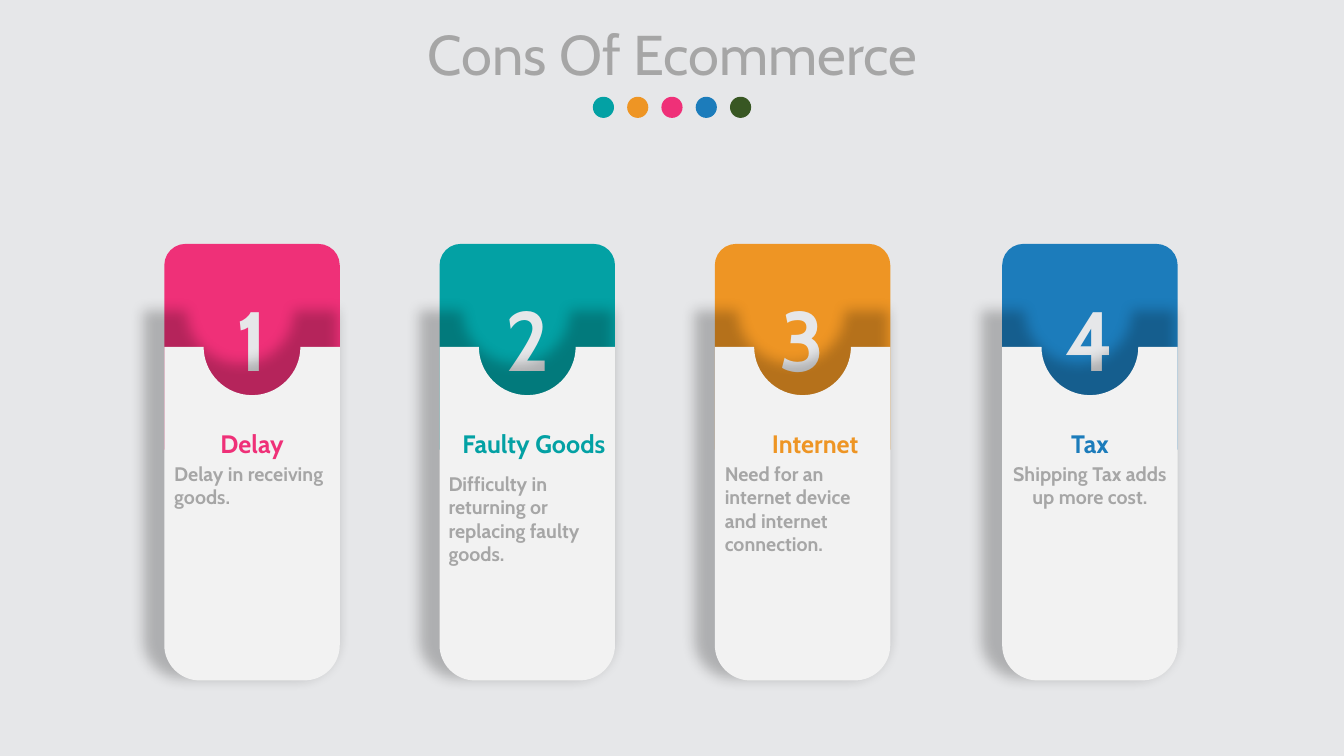
from dataclasses import dataclass

import pptx
import pptx.dml.color
import pptx.enum.shapes
import pptx.enum.text
import pptx.oxml
import pptx.oxml.ns
import pptx.util
from lxml import etree

Inches = pptx.util.Inches
RGBColor = pptx.dml.color.RGBColor
Shape = pptx.enum.shapes.MSO_SHAPE
Align = pptx.enum.text.PP_ALIGN
qn = pptx.oxml.ns.qn

BACKGROUND = RGBColor(0xE6, 0xE7, 0xE9)
PANEL = RGBColor(0xF2, 0xF2, 0xF2)
GREY = RGBColor(0xA6, 0xA6, 0xA6)
TEAL = RGBColor(0x03, 0xA1, 0xA4)
ORANGE = RGBColor(0xEE, 0x95, 0x24)
PINK = RGBColor(0xEF, 0x30, 0x78)
BLUE = RGBColor(0x1C, 0x7C, 0xBB)
GREEN = RGBColor(0x38, 0x57, 0x23)

CARD_WIDTH = 1.74
PANEL_TOP, PANEL_HEIGHT = 3.44, 3.31
NOTCH_RADIUS, CORNER_RADIUS = 0.48, 0.35
ARC_PULL = 0.55

PANEL_SHADOW = (
    '<a:effectLst %s><a:outerShdw blurRad="127000" dist="38100" dir="13500000" '
    'sx="110000" sy="110000" algn="br" rotWithShape="0"><a:srgbClr val="000000">'
    '<a:alpha val="23000"/></a:srgbClr></a:outerShdw></a:effectLst>'
    % pptx.oxml.ns.nsdecls("a")
)


@dataclass
class Card:
    left: float
    color: RGBColor
    heading: str
    heading_width: float
    detail: str
    text_left: float
    detail_top: float = 4.53
    detail_width: float = CARD_WIDTH
    detail_align: Align = Align.LEFT


CARDS = [
    Card(1.63, PINK, "Delay", 1.74, "Delay in receiving goods.", 1.63),
    Card(4.36, TEAL, "Faulty Goods", 1.89,
         "Difficulty in returning or replacing faulty goods.", 4.35,
         detail_top=4.63, detail_width=1.89),
    Card(7.09, ORANGE, "Internet", 1.99,
         "Need for an internet device and internet connection.", 7.09),
    Card(9.94, BLUE, "Tax", 1.74, "Shipping Tax adds up more cost.", 9.94,
         detail_align=Align.CENTER),
]


def round_segment(line, start, corner, end):
    """Turn a straight path segment into a quarter arc that hugs the corner."""
    controls = [tuple(a + ARC_PULL * (c - a) for a, c in zip(point, corner))
                for point in (start, end)]
    line.clear()
    line.tag = qn("a:cubicBezTo")
    for x, y in (*controls, end):
        etree.SubElement(line, qn("a:pt"), x=str(Inches(x)), y=str(Inches(y)))


class Page:
    font = "Cabin"

    def __init__(self, slide):
        self.slide = slide
        slide.background.fill.solid()
        slide.background.fill.fore_color.rgb = BACKGROUND

    def paint(self, shape, color):
        shape.shadow.inherit = False
        shape.fill.solid()
        shape.fill.fore_color.rgb = color
        shape.line.fill.background()

    def shape(self, kind, left, top, width, height, color):
        shape = self.slide.shapes.add_shape(
            kind, Inches(left), Inches(top), Inches(width), Inches(height))
        self.paint(shape, color)
        return shape

    def text(self, text, left, top, width, height, size, color,
             bold=True, align=Align.CENTER):
        box = self.slide.shapes.add_textbox(
            Inches(left), Inches(top), Inches(width), Inches(height))
        box.text_frame.word_wrap = True
        box.text_frame.text = text
        para = box.text_frame.paragraphs[0]
        para.alignment = align
        font = para.runs[0].font
        font.name, font.size, font.bold = self.font, pptx.util.Pt(size), bold
        font.color.rgb = color

    def panel(self, left):
        """Notched card body with rounded lower corners and a soft shadow."""
        width, height = CARD_WIDTH, PANEL_HEIGHT
        middle = width / 2
        notch_left, notch_right = middle - NOTCH_RADIUS, middle + NOTCH_RADIUS
        # Each step is an end point and, for an arc, the corner it rounds.
        steps = [
            ((0, 0), None),
            ((notch_left, 0), None),
            ((middle, NOTCH_RADIUS), (notch_left, NOTCH_RADIUS)),
            ((notch_right, 0), (notch_right, NOTCH_RADIUS)),
            ((width, 0), None),
            ((width, height - CORNER_RADIUS), None),
            ((width - CORNER_RADIUS, height), (width, height)),
            ((CORNER_RADIUS, height), None),
            ((0, height - CORNER_RADIUS), (0, height)),
        ]
        points = [point for point, corner in steps]
        builder = self.slide.shapes.build_freeform(0, 0)
        builder.add_line_segments(
            [(Inches(x), Inches(y)) for x, y in points[1:]], close=True)
        body = builder.convert_to_shape(Inches(left), Inches(PANEL_TOP))
        self.paint(body, PANEL)
        properties = body._element.spPr
        lines = list(properties.iter(qn("a:lnTo")))
        for line, start, (end, corner) in zip(lines, points, steps[1:]):
            if corner:
                round_segment(line, start, corner, end)
        properties.remove(properties.find(qn("a:effectLst")))
        properties.append(pptx.oxml.parse_xml(PANEL_SHADOW))

    def card(self, number, card):
        header = self.shape(Shape.ROUND_2_SAME_RECTANGLE, card.left, 2.42,
                            CARD_WIDTH, 2.04, card.color)
        header.adjustments[0] = 0.121
        self.text(str(number), card.left + 0.38, 2.8, 0.98, 1.11, 60, BACKGROUND)
        self.panel(card.left)
        self.text(card.heading, card.text_left, 4.2, card.heading_width, 0.4,
                  18, card.color)
        self.text(card.detail, card.text_left, card.detail_top, card.detail_width,
                  0.57, 14, GREY, align=card.detail_align)


def main():
    deck = pptx.Presentation()
    deck.slide_width, deck.slide_height = Inches(13.33), Inches(7.5)
    page = Page(deck.slides.add_slide(deck.slide_layouts[6]))
    page.text("Cons Of Ecommerce", 2.69, 0.14, 7.96, 0.77, 40, GREY, bold=False)
    for index, color in enumerate([TEAL, ORANGE, PINK, BLUE, GREEN]):
        page.shape(Shape.OVAL, 5.88 + 0.34 * index, 0.96, 0.21, 0.21, color)
    for number, card in enumerate(CARDS, start=1):
        page.card(number, card)
    deck.save("out.pptx")


if __name__ == "__main__":
    main()
